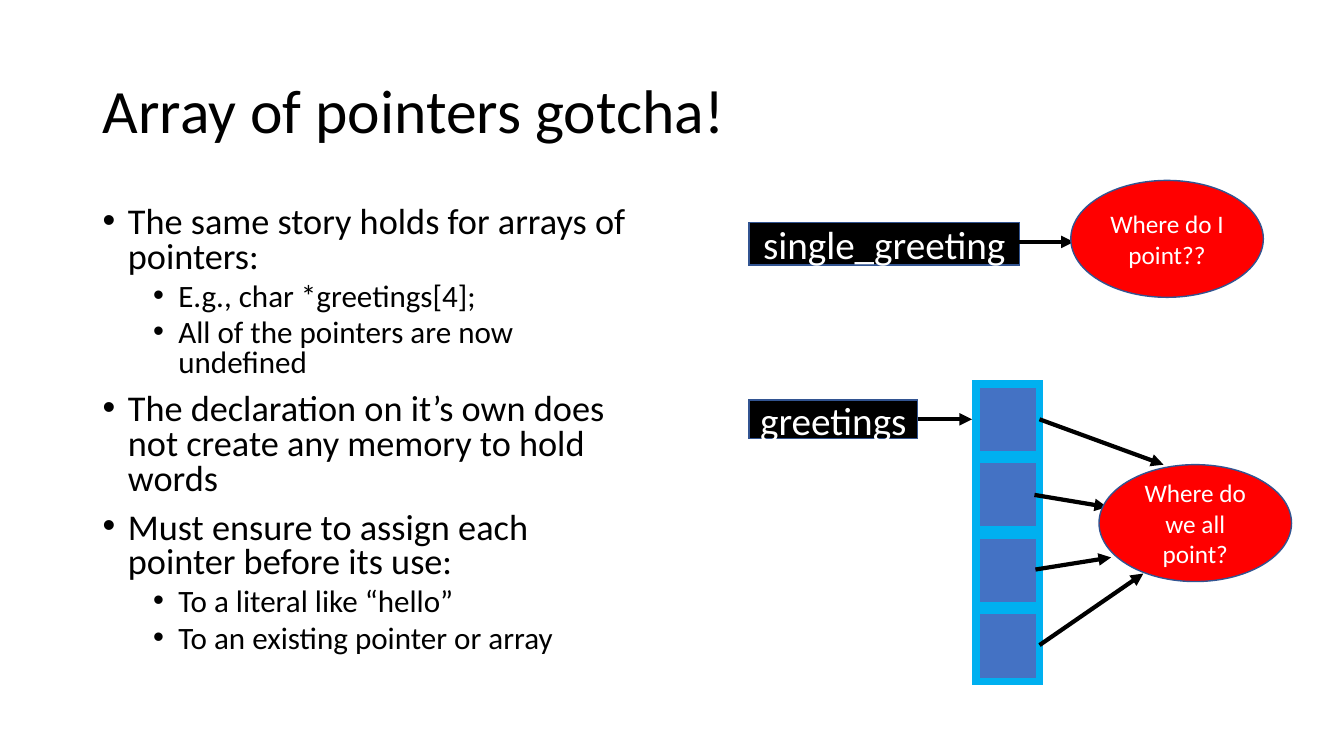
from dataclasses import dataclass

from lxml import etree
from pptx import Presentation
from pptx.dml.color import RGBColor
from pptx.enum import shapes, text
from pptx.oxml import ns
from pptx.util import Inches, Pt


@dataclass(frozen=True)
class Theme:
    font: str = "Calibri"
    black: str = "000000"
    white: str = "FFFFFF"
    red: str = "FF0000"
    cell: str = "4472C4"
    cell_border: str = "00B0F0"
    outline: str = "325491"
    title_size: float = 44
    bullet_sizes: tuple[float, float] = (25.9, 22.2)
    name_size: float = 28
    question_size: float = 18
    outline_width: float = 1
    cell_border_width: float = 5.25
    arrow_width: float = 3


@dataclass(frozen=True)
class Bullet:
    text: str
    level: int = 0


@dataclass(frozen=True)
class Box:
    left: float
    top: float
    width: float
    height: float
    fill: str
    line: str
    line_width: float
    text: str = ""
    size: float = 18
    kind: shapes.MSO_SHAPE = shapes.MSO_SHAPE.RECTANGLE


@dataclass(frozen=True)
class Arrow:
    start: tuple[float, float]
    end: tuple[float, float]


THEME = Theme()

BULLETS = [
    Bullet("The same story holds for arrays of pointers:"),
    Bullet("E.g., char *greetings[4];", 1),
    Bullet("All of the pointers are now undefined", 1),
    Bullet("The declaration on it’s own does not create any memory to hold words"),
    Bullet("Must ensure to assign each pointer before its use:"),
    Bullet("To a literal like “hello”", 1),
    Bullet("To an existing pointer or array", 1),
]

ARROWS = [
    Arrow((9.1, 4.16), (9.64, 4.16)),
    Arrow((10.31, 4.16), (11.54, 4.61)),
    Arrow((10.26, 4.91), (10.98, 5.03)),
    Arrow((10.27, 5.65), (11.02, 5.53)),
    Arrow((10.31, 6.4), (11.34, 5.69)),
    Arrow((10.11, 2.4), (10.65, 2.4)),
]


def array_cell(index: int) -> Box:
    return Box(9.68, 3.81 + 0.75 * index, 0.63, 0.7, THEME.cell,
               THEME.cell_border, THEME.cell_border_width)


def variable_name(name: str, top: float, width: float, height: float) -> Box:
    return Box(7.43, top, width, height, THEME.black, THEME.outline,
               THEME.outline_width, name, THEME.name_size)


def question(wording: str, left: float, top: float) -> Box:
    return Box(left, top, 1.91, 1.16, THEME.red, THEME.outline,
               THEME.outline_width, wording, THEME.question_size,
               shapes.MSO_SHAPE.OVAL)


def color(code: str) -> RGBColor:
    return RGBColor.from_string(code)


def style_paragraph(paragraph, size: float, code: str) -> None:
    paragraph.font.name = THEME.font
    paragraph.font.size = Pt(size)
    paragraph.font.color.rgb = color(code)


def add_title(slide, wording: str) -> None:
    title = slide.shapes.title
    title.left, title.top = Inches(0.92), Inches(0.4)
    title.width, title.height = Inches(11.5), Inches(1.45)
    frame = title.text_frame
    frame.text = wording
    frame.auto_size = text.MSO_AUTO_SIZE.NONE
    frame.vertical_anchor = text.MSO_ANCHOR.MIDDLE
    paragraph = frame.paragraphs[0]
    paragraph.alignment = text.PP_ALIGN.LEFT
    paragraph.line_spacing = 0.9
    style_paragraph(paragraph, THEME.title_size, THEME.black)


def add_bullets(slide, bullets: list[Bullet]) -> None:
    frame = slide.shapes.add_textbox(
        Inches(0.92), Inches(2), Inches(5.51), Inches(4.76)).text_frame
    frame.word_wrap = True
    for index, bullet in enumerate(bullets):
        paragraph = frame.add_paragraph() if index else frame.paragraphs[0]
        paragraph.text = bullet.text
        paragraph.level = bullet.level
        paragraph.line_spacing = 0.8
        paragraph.space_before = Pt(5 if bullet.level else 10)
        style_paragraph(paragraph, THEME.bullet_sizes[bullet.level], THEME.black)
        properties = paragraph._p.get_or_add_pPr()
        properties.set("marL", str(Inches(0.25 + 0.5 * bullet.level)))
        properties.set("indent", str(Inches(-0.25)))
        bullet_font = etree.Element(ns.qn("a:buFont"), typeface="Arial")
        mark = etree.Element(ns.qn("a:buChar"), char="•")
        default_run = properties.find(ns.qn("a:defRPr"))
        default_run.addprevious(bullet_font)
        default_run.addprevious(mark)


def add_box(slide, box: Box) -> None:
    shape = slide.shapes.add_shape(
        box.kind, Inches(box.left), Inches(box.top),
        Inches(box.width), Inches(box.height))
    shape.shadow.inherit = False
    shape.fill.solid()
    shape.fill.fore_color.rgb = color(box.fill)
    shape.line.color.rgb = color(box.line)
    shape.line.width = Pt(box.line_width)
    outline = shape.line._get_or_add_ln()
    etree.SubElement(outline, ns.qn("a:miter"), lim="800000")
    if box.text:
        frame = shape.text_frame
        frame.text = box.text
        frame.word_wrap = True
        frame.vertical_anchor = text.MSO_ANCHOR.MIDDLE
        paragraph = frame.paragraphs[0]
        paragraph.alignment = text.PP_ALIGN.CENTER
        style_paragraph(paragraph, box.size, THEME.white)


def add_arrow(slide, arrow: Arrow) -> None:
    points = [Inches(value) for value in arrow.start + arrow.end]
    connector = slide.shapes.add_connector(shapes.MSO_CONNECTOR.STRAIGHT, *points)
    connector.line.color.rgb = color(THEME.black)
    connector.line.width = Pt(THEME.arrow_width)
    outline = connector.line._get_or_add_ln()
    etree.SubElement(outline, ns.qn("a:tailEnd"), type="triangle")
    etree.SubElement(connector._element.spPr, ns.qn("a:effectLst"))


def main() -> None:
    presentation = Presentation()
    presentation.slide_width = Inches(13.33)
    presentation.slide_height = Inches(7.5)
    slide = presentation.slides.add_slide(presentation.slide_layouts[5])

    add_title(slide, "Array of pointers gotcha!")
    add_bullets(slide, BULLETS)
    for index in range(4):
        add_box(slide, array_cell(index))
    add_box(slide, variable_name("greetings", 3.97, 1.67, 0.38))
    add_box(slide, variable_name("single_greeting", 2.21, 2.68, 0.42))
    for arrow in ARROWS:
        add_arrow(slide, arrow)
    add_box(slide, question("Where do I point??", 10.62, 1.79))
    add_box(slide, question("Where do we all point?", 10.9, 4.61))
    presentation.save("out.pptx")


if __name__ == "__main__":
    main()
